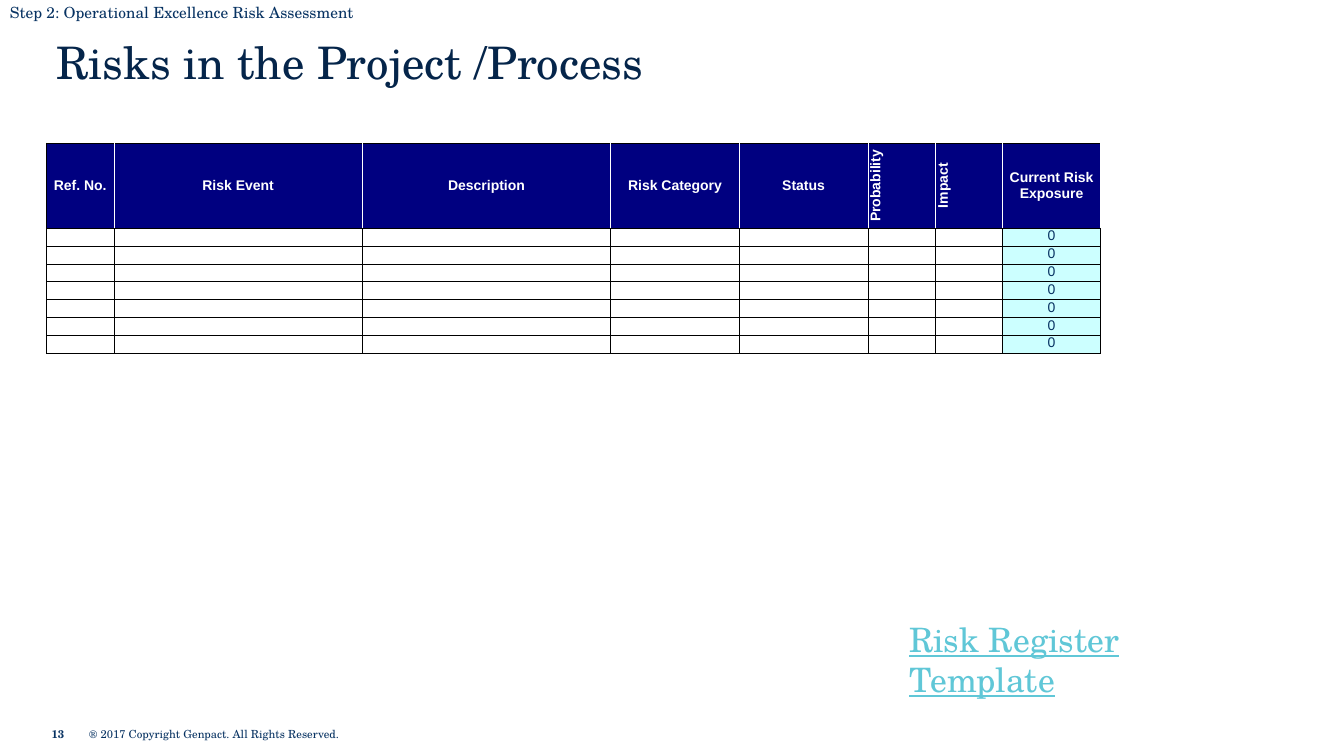
from dataclasses import dataclass

from lxml.etree import SubElement
from pptx import Presentation
from pptx.dml.color import RGBColor
from pptx.enum.text import MSO_ANCHOR, MSO_AUTO_SIZE, PP_ALIGN
from pptx.oxml.ns import qn
from pptx.util import Cm, Pt


@dataclass(frozen=True)
class Theme:
    serif: str = "TeX Gyre Schola"
    sans: str = "Arial"
    title: str = "05254A"
    body: str = "073262"
    link: str = "60C7D7"
    header: str = "000080"
    exposure: str = "CCFFFF"
    white: str = "FFFFFF"
    black: str = "000000"
    title_size: int = 32
    link_size: int = 24
    step_size: int = 11
    table_size: int = 10
    footer_size: int = 8
    border_width: float = 0.5


THEME = Theme()
COLUMNS = [
    ("Ref. No.", 1.7),
    ("Risk Event", 6.26),
    ("Description", 6.26),
    ("Risk Category", 3.24),
    ("Status", 3.24),
    ("Probability", 1.7),
    ("Impact", 1.7),
    ("Current Risk Exposure", 2.46),
]
VERTICAL_HEADINGS = ("Probability", "Impact")
RISK_ROWS = 7
HEADER_HEIGHT = 2.14
ROW_HEIGHT = 0.45


def format_text(text_frame, text, font_name, size, color, bold=False, underline=False,
                alignment=PP_ALIGN.LEFT):
    text_frame.text = text
    paragraph = text_frame.paragraphs[0]
    paragraph.alignment = alignment
    for run in paragraph.runs:
        run.font.name = font_name
        run.font.size = Pt(size)
        run.font.color.rgb = RGBColor.from_string(color)
        run.font.bold = bold
        run.font.underline = underline


def add_title(slide, left, top, width, height):
    title = slide.shapes.title
    title.left, title.top, title.width, title.height = map(Cm, (left, top, width, height))
    text_frame = title.text_frame
    text_frame.word_wrap = True
    text_frame.auto_size = MSO_AUTO_SIZE.SHAPE_TO_FIT_TEXT
    text_frame.vertical_anchor = MSO_ANCHOR.TOP
    format_text(text_frame, "Risks in the Project /Process", THEME.serif,
                THEME.title_size, THEME.title)


def add_label(slide, box, text, size, color, underline=False):
    shape = slide.shapes.add_textbox(*map(Cm, box))
    shape.text_frame.word_wrap = True
    shape.text_frame.auto_size = MSO_AUTO_SIZE.SHAPE_TO_FIT_TEXT
    format_text(shape.text_frame, text, THEME.serif, size, color, underline=underline)


def add_footer(slide, left, top, height):
    parts = [
        ("13", 0, 0.9, True),
        ("® 2017 Copyright Genpact. All Rights Reserved.", 0.95, 6.55, False),
    ]
    for text, offset, width, bold in parts:
        shape = slide.shapes.add_textbox(Cm(left + offset), Cm(top), Cm(width), Cm(height))
        text_frame = shape.text_frame
        text_frame.word_wrap = True
        text_frame.vertical_anchor = MSO_ANCHOR.MIDDLE
        text_frame.margin_left = text_frame.margin_right = 0
        text_frame.margin_top = text_frame.margin_bottom = 0
        format_text(text_frame, text, THEME.serif, THEME.footer_size, THEME.body, bold=bold)


def add_borders(cell, left_color, right_color):
    properties = cell._tc.get_or_add_tcPr()
    sides = {"L": left_color, "R": right_color, "T": THEME.black, "B": THEME.black}
    for side, color in sides.items():
        line = SubElement(properties, qn(f"a:ln{side}"), w=str(Pt(THEME.border_width)))
        fill = SubElement(line, qn("a:solidFill"))
        SubElement(fill, qn("a:srgbClr"), val=color)


def fill_cell(cell, color):
    cell.fill.solid()
    cell.fill.fore_color.rgb = RGBColor.from_string(color)


def format_header_cell(cell, heading, is_first):
    add_borders(cell, THEME.black if is_first else THEME.white, THEME.white)
    fill_cell(cell, THEME.header)
    format_text(cell.text_frame, heading, THEME.sans, THEME.table_size, THEME.white,
                bold=True, alignment=PP_ALIGN.CENTER)
    cell.vertical_anchor = MSO_ANCHOR.MIDDLE
    if heading in VERTICAL_HEADINGS:
        cell.vertical_anchor = MSO_ANCHOR.BOTTOM
        cell._tc.get_or_add_tcPr().set("vert", "vert270")


def format_risk_cell(cell, is_exposure):
    add_borders(cell, THEME.black, THEME.black)
    if is_exposure:
        fill_cell(cell, THEME.exposure)
        format_text(cell.text_frame, "0", THEME.sans, THEME.table_size, THEME.body,
                    alignment=PP_ALIGN.CENTER)
    else:
        cell.fill.background()
        paragraph = cell.text_frame.paragraphs[0]
        SubElement(paragraph._p, qn("a:endParaRPr"), sz=str(THEME.table_size * 100))


def add_risk_table(slide, left, top):
    width = sum(column_width for _, column_width in COLUMNS)
    height = HEADER_HEIGHT + RISK_ROWS * ROW_HEIGHT
    frame = slide.shapes.add_table(RISK_ROWS + 1, len(COLUMNS), Cm(left), Cm(top),
                                   Cm(width), Cm(height))
    table = frame.table
    table.first_row = False
    table.horz_banding = False
    for row_index, row in enumerate(table.rows):
        row.height = Cm(ROW_HEIGHT if row_index else HEADER_HEIGHT)
    for column_index, (heading, column_width) in enumerate(COLUMNS):
        table.columns[column_index].width = Cm(column_width)
        for row_index in range(RISK_ROWS + 1):
            cell = table.cell(row_index, column_index)
            cell.margin_left = cell.margin_right = 0
            cell.margin_top = cell.margin_bottom = 0
            if row_index == 0:
                format_header_cell(cell, heading, column_index == 0)
            else:
                format_risk_cell(cell, column_index == len(COLUMNS) - 1)


def main():
    presentation = Presentation()
    presentation.slide_width = Cm(33.87)
    presentation.slide_height = Cm(19.05)
    slide = presentation.slides.add_slide(presentation.slide_layouts[5])
    add_footer(slide, 1.3, 18.19, 0.6)
    add_label(slide, (22.66, 15.47, 9.47, 1.27), "Risk Register Template",
              THEME.link_size, THEME.link, underline=True)
    add_title(slide, 1.17, 0.74, 27.38, 1.63)
    add_label(slide, (0, -0.05, 13.82, 0.74),
              "Step 2: Operational Excellence Risk Assessment", THEME.step_size, THEME.body)
    add_risk_table(slide, 1.17, 3.61)
    presentation.save("out.pptx")


if __name__ == "__main__":
    main()
